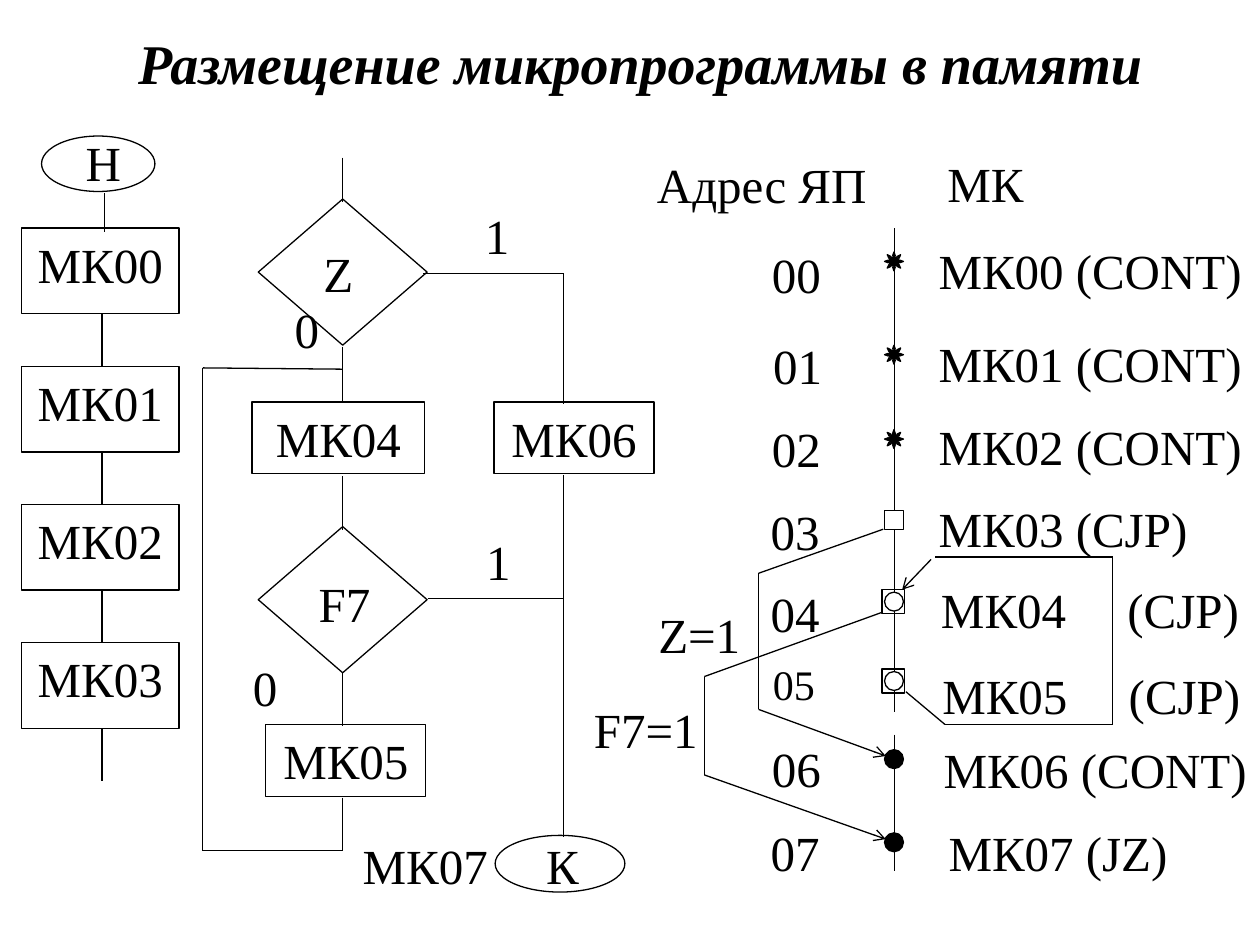
from dataclasses import dataclass
from itertools import pairwise

from lxml.etree import SubElement
from pptx import Presentation
from pptx.dml.color import RGBColor
from pptx.enum.shapes import MSO_CONNECTOR, MSO_SHAPE as Preset
from pptx.enum.text import MSO_ANCHOR as Anchor, PP_ALIGN as Align
from pptx.oxml.ns import qn
from pptx.util import Inches, Pt

CELLS_PER_INCH = 10
BLACK, WHITE = "000000", "FFFFFF"
FONT = "Times New Roman"


@dataclass
class Box:
    """A region of the slide, placed on a grid of 100 columns by 75 rows."""
    left: float
    top: float
    width: float
    height: float

    def point(self, column, row):
        """Turn a cell of this region into a slide position."""
        return cells(self.left + column), cells(self.top + row)

    def place(self, column, row, width, height):
        """Turn a rectangle of this region into slide lengths."""
        return *self.point(column, row), cells(width), cells(height)


def cells(count):
    """Return the length of a number of grid cells."""
    return Inches(count / CELLS_PER_INCH)


def color(value):
    """Return the colour of a hex string."""
    return RGBColor.from_string(value)


def write(shape, text, size=28, bold=False, italic=False,
          align=Align.CENTER, anchor=Anchor.TOP, tab=None):
    """Write one formatted paragraph into a shape."""
    frame = shape.text_frame
    frame.word_wrap = True
    frame.vertical_anchor = anchor
    paragraph = frame.paragraphs[0]
    paragraph.text = text
    paragraph.alignment = align
    if tab:
        stops = SubElement(paragraph._p.get_or_add_pPr(), qn("a:tabLst"))
        SubElement(stops, qn("a:tab"), pos=str(cells(tab)), algn="l")
    font = paragraph.runs[0].font
    font.name, font.size = FONT, Pt(size)
    font.bold, font.italic = bold, italic
    font.color.rgb = color(BLACK)


def add_label(slide, place, text, **text_format):
    """Add a text box."""
    write(slide.shapes.add_textbox(*place), text, **text_format)


def add_outline(slide, preset, place, fill=None, text=None):
    """Add a thin black preset shape with optional fill and text."""
    shape = slide.shapes.add_shape(preset, *place)
    shape.shadow.inherit = False
    if fill:
        shape.fill.solid()
        shape.fill.fore_color.rgb = color(fill)
    else:
        shape.fill.background()
    shape.line.color.rgb = color(BLACK)
    shape.line.width = Pt(0.75)
    if text:
        write(shape, text)


def add_route(slide, box, *points, arrow=False):
    """Join points with lines, with an optional arrowhead at the end."""
    for start, end in pairwise(points):
        connector = slide.shapes.add_connector(
            MSO_CONNECTOR.STRAIGHT, *box.point(*start), *box.point(*end))
        connector.line.color.rgb = color(BLACK)
        connector.line.width = Pt(0.75)
        if arrow and end == points[-1]:
            SubElement(connector.get_or_add_ln(), qn("a:tailEnd"), type="arrow")
        SubElement(connector._element.spPr, qn("a:effectLst"))


def add_title(slide, box):
    """Add the slide title."""
    add_label(slide, box.place(0, 0, box.width, box.height),
              "Размещение микропрограммы в памяти",
              size=32, bold=True, italic=True, anchor=Anchor.MIDDLE)


def add_chain(slide, box):
    """Draw the start and the commands that follow one another."""
    step, first = 10.97, 7.3
    add_outline(slide, Preset.OVAL, box.place(1.6, 0, 9, 4.4))
    add_label(slide, box.place(-1.7, -0.8, 16.4, 6), "Н")
    add_route(slide, box, (6.6, 4.5), (6.6, 7.6))
    for index in range(4):
        row = first + index * step
        add_outline(slide, Preset.RECTANGLE, box.place(0, row, box.width, 6.8),
                    text=f"МК0{index}")
        add_route(slide, box, (6.4, row + 6.8), (6.4, row + step))


def add_branches(slide, box):
    """Draw the two conditions, their commands and the end."""
    axis, bypass, loop = 11.2, 28.7, 0.1
    for row in (3.8, 29.8):
        add_outline(slide, Preset.DIAMOND, box.place(4.5, row, 13.4, 11.6))
    for text, column, row, width in (
            ("МК04", 4, 19.9, 13.7), ("МК05", 5.1, 45.5, 12.7),
            ("МК06", 23.2, 19.9, 12.7)):
        add_outline(slide, Preset.RECTANGLE, box.place(column, row, width, 5.7),
                    text=text)
    add_outline(slide, Preset.OVAL, box.place(23.3, 54.3, 10.3, 4.5))
    for text, column, row in (
            ("Z", 4, 6.8), ("1", 16.6, 3.8), ("0", 1.5, 11.3),
            ("F7", 4.5, 33), ("1", 16.7, 29.7), ("0", -1.8, 39.7),
            ("К", 21.8, 53.8), ("МК07", 10.9, 53.8)):
        add_label(slide, box.place(column, row, 13.7, 5), text)
    for top, bottom in ((0.5, 4), (15.5, 19.8), (25.8, 30.1), (41.3, 45.6)):
        add_route(slide, box, (axis, top), (axis, bottom))
    add_route(slide, box, (axis, 51.3), (axis, 55.5), (loop, 55.5),
              (loop, 17.2), (axis, 17.3))
    add_route(slide, box, (17.6, 9.7), (bypass, 9.7), (bypass, 20.1))
    add_route(slide, box, (bypass, 25.7), (bypass, 54.4))
    add_route(slide, box, (18, 35.5), (bypass, 35.5))


def add_memory(slide, box):
    """Draw the addresses, the memory cells, the commands and the jumps."""
    axis = 26
    add_label(slide, box.place(4.2, 0.8, 22.5, 6.5), "Адрес ЯП")
    add_label(slide, box.place(29.2, 0.7, 12.5, 4.3), "МК", align=Align.LEFT)
    add_label(slide, box.place(5.8, 36.5, 9.4, 3.8), "Z=1")
    add_label(slide, box.place(0, 44, 12.5, 4.2), "F7=1")
    for top, bottom in ((7.1, 45.5), (47.3, 58.1)):
        add_route(slide, box, (axis, top), (axis, bottom))

    plain, jump = (Preset.SUN, BLACK), (Preset.OVAL, WHITE)
    test, target = (Preset.RECTANGLE, WHITE), (Preset.OVAL, BLACK)
    entries = (
        (" (CONT)", plain, 13.5, 7.9, 28.5, 7.6, 9),
        (" (CONT)", plain, 13.6, 15.1, 28.5, 15, 16.4),
        (" (CONT)", plain, 13.5, 21.7, 28.5, 21.6, 23.1),
        (" (CJP)", test, 13.4, 28.3, 28.5, 28.1, 29.5),
        ("\t(CJP)", jump, 13.4, 34.8, 28.7, 34.5, 36),
        ("\t(CJP)", jump, 13.3, 40.8, 28.8, 41.3, 42.3),
        (" (CONT)", target, 13.5, 47.1, 28.9, 47.2, 48.5),
        (" (JZ)", target, 13.4, 53.8, 29.3, 53.8, 55.1))
    for index, entry in enumerate(entries):
        operation, marker, left, top, command_left, command_top, row = entry
        preset, fill = marker
        address = f"0{index}"
        add_label(slide, box.place(left, top, 9.4, 3.8), address,
                  size=24 if address == "05" else 28)
        add_outline(slide, preset, box.place(25.2, row, 1.5, 1.5), fill)
        if marker == jump:
            add_outline(slide, Preset.RECTANGLE,
                        box.place(25, row - 0.2, 1.8, 1.9))
        add_label(slide, box.place(command_left, command_top,
                                   box.width - command_left, 4.3),
                  f"МК{address}{operation}", align=Align.LEFT,
                  tab=14.8 if marker == jump else None)

    add_route(slide, box, (25.1, 31), (15.2, 34.5), (15.2, 45.3),
              (25.3, 49), arrow=True)
    add_route(slide, box, (25, 37.6), (10.9, 42.7), (10.9, 50.5),
              (25.3, 55.6), arrow=True)
    add_route(slide, box, (26.9, 43.9), (30, 46.5), (43.3, 46.5),
              (43.3, 33.2), (29.2, 33.2))
    add_route(slide, box, (28.9, 33.4), (26.6, 35.8), arrow=True)


def main():
    """Build and save the presentation."""
    presentation = Presentation()
    presentation.slide_width, presentation.slide_height = cells(100), cells(75)
    slide = presentation.slides.add_slide(presentation.slide_layouts[6])
    add_chain(slide, Box(1.7, 10.8, 12.5, 51.1))
    add_branches(slide, Box(16, 12, 36, 59))
    add_memory(slide, Box(45, 11, 55, 59))
    add_title(slide, Box(6.7, 0.8, 88.3, 8.3))
    presentation.save("out.pptx")


if __name__ == "__main__":
    main()
